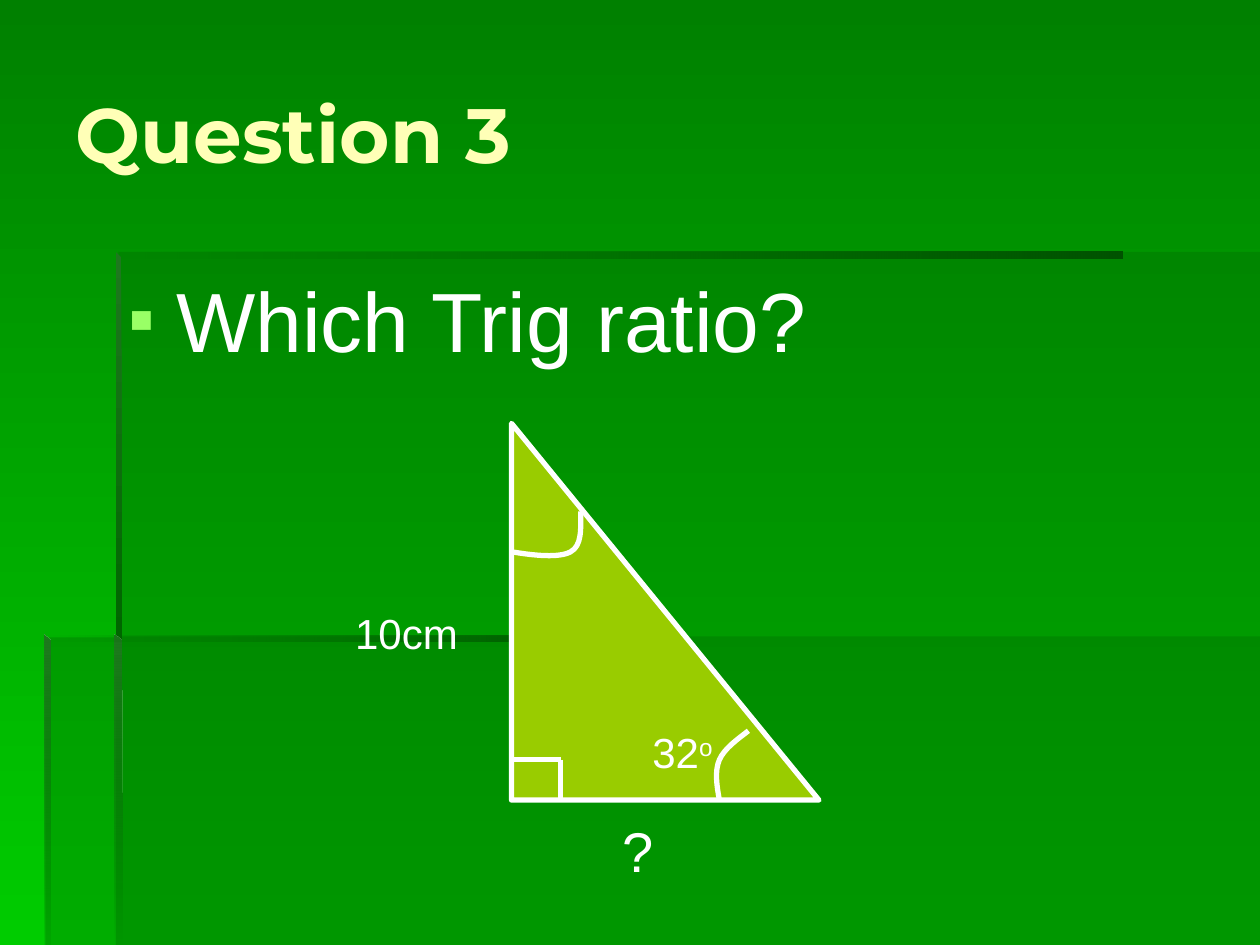
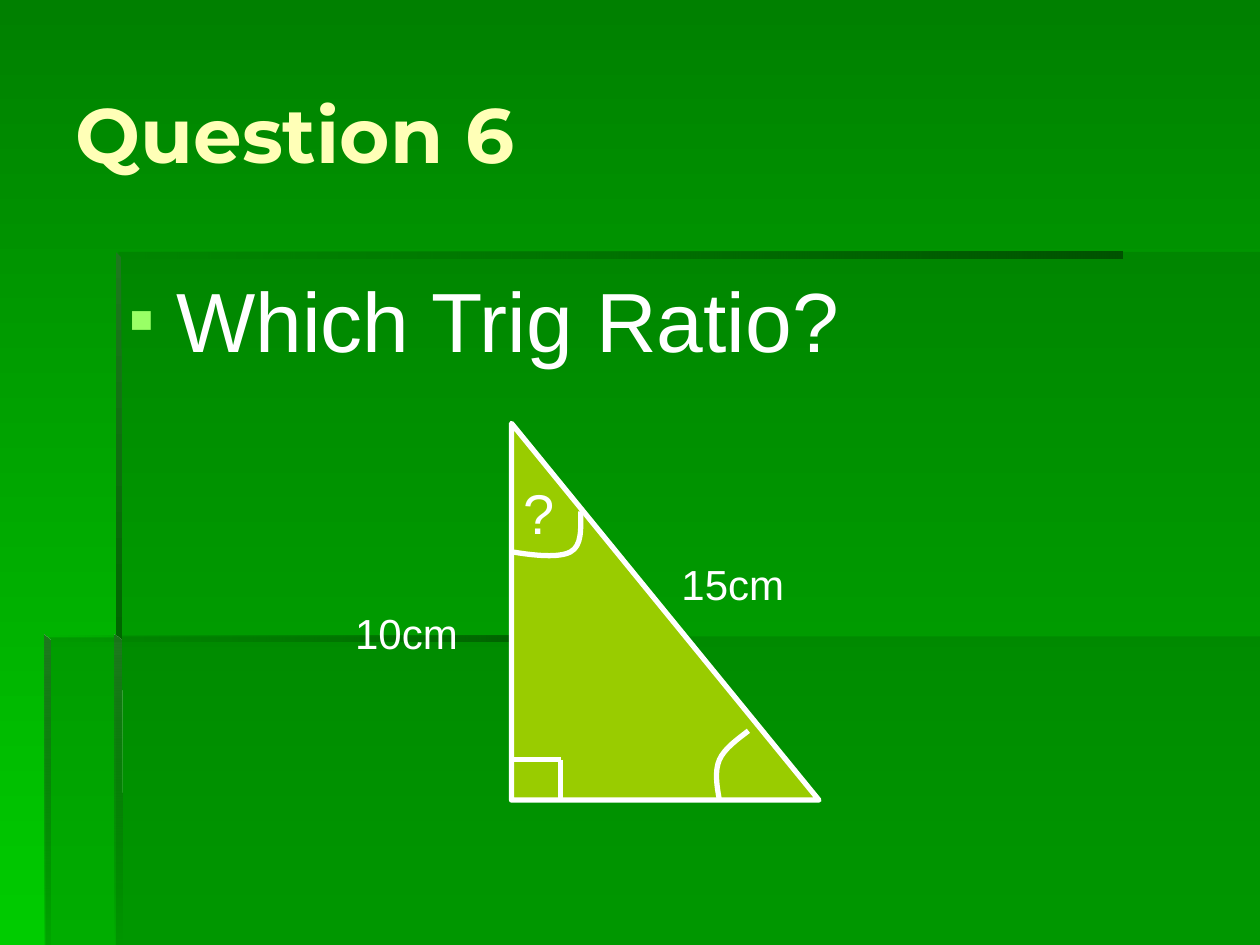
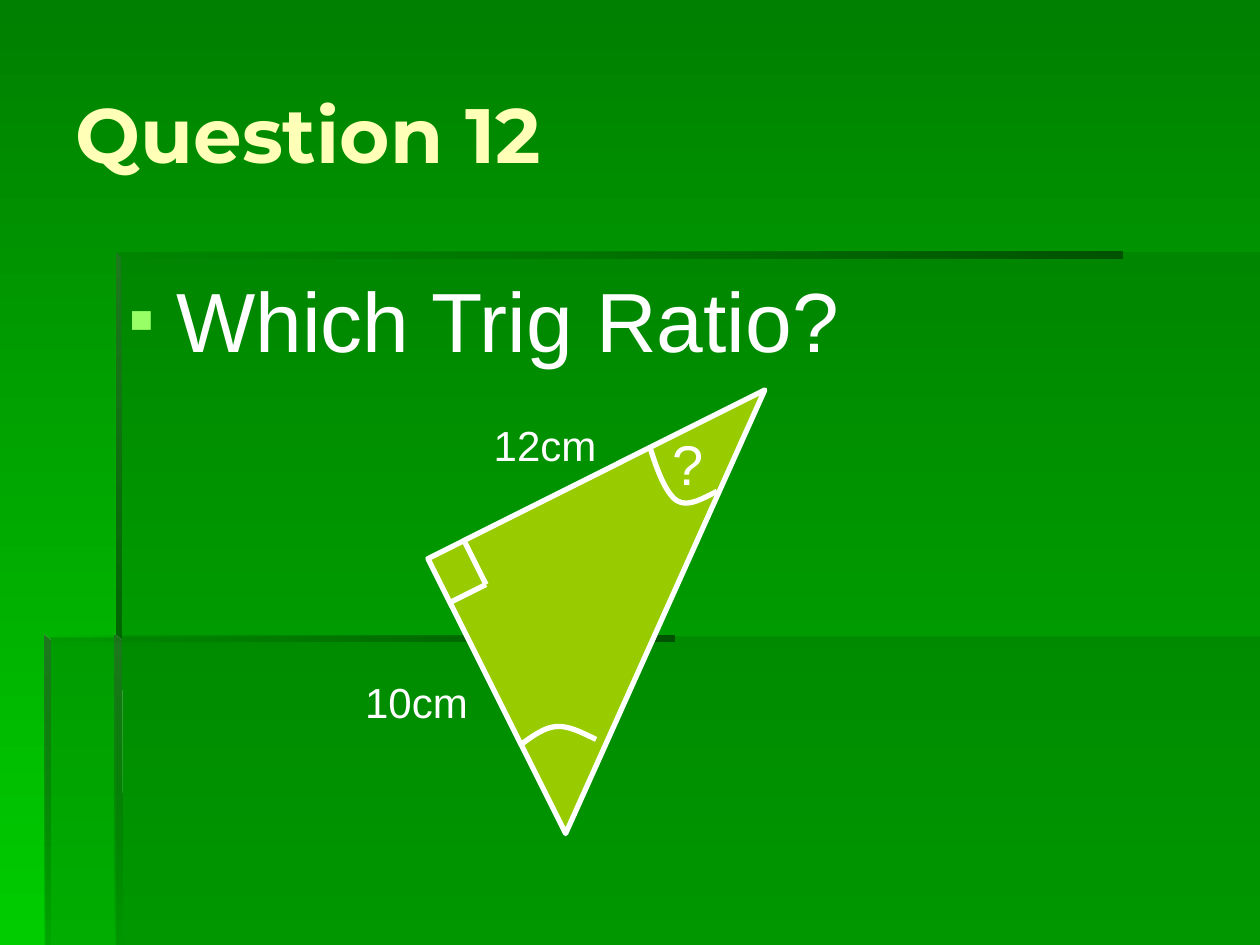
from lxml.etree import SubElement
from pptx import Presentation
from pptx.dml.color import RGBColor
from pptx.enum.shapes import MSO_CONNECTOR, MSO_SHAPE
from pptx.enum.text import MSO_ANCHOR, MSO_AUTO_SIZE, PP_ALIGN
from pptx.oxml.ns import qn
from pptx.util import Pt

PX = 9144  # 100 px to the inch
WIDE, HIGH = 1000, 750

DARK = RGBColor(0x00, 0x80, 0x00)
BRIGHT = RGBColor(0x00, 0xCC, 0x00)
SHADE = RGBColor(0x00, 0x66, 0x00)
DEEP = RGBColor(0x00, 0x53, 0x00)
EDGE = RGBColor(0x1E, 0x78, 0x1E)
CREAM = RGBColor(0xFF, 0xFF, 0xB7)
WHITE = RGBColor(0xFF, 0xFF, 0xFF)
LIME = RGBColor(0x99, 0xCC, 0x00)
MINT = "99FF66"

TITLE = {"name": "Montserrat", "size": Pt(44), "bold": True}
BODY = {"name": "Arial", "size": Pt(48), "bold": False}
SMALL = {"name": "Arial", "size": Pt(24)}
LARGE = {"name": "Arial", "size": Pt(32)}

PANELS = [
    [(92, 505), (92, 750), (1000, 750), (1000, 505)],
    [(94, 506), (36, 506), (36, 750), (1000, 750), (1000, 200), (94, 200)],
]
# outline, first colour, last opacity, clockwise angle
BARS = [
    ([(92, 200), (92, 205), (891, 205), (891, 200)], DEEP, 0, 180),
    ([(92, 200), (92, 510), (97, 510), (96, 204)], EDGE, 100, 90),
    ([(91, 750), (97, 750), (96, 508), (91, 504)], EDGE, 0, 90),
    ([(35, 504), (35, 509), (535, 509), (535, 504)], DEEP, 0, 180),
    ([(35, 504), (35, 750), (40, 750), (40, 509)], EDGE, 10, 90),
]

FIGURE = (406, 336, 244, 299)
ARCS = [
    [(0, 102), (18, 105), (38, 107), (47, 102), (56, 97), (55, 84), (55, 70)],
    [(188, 244), (179, 251), (169, 258), (165, 267), (161, 276), (163, 288), (165, 299)],
]
CORNER = [(0, 267), (39, 267), (39, 299)]

# title, prompt, turn, labels as (text, raised text, style, box)
SLIDES = [
    ("Question 3", "Which Trig ratio?", 0, [
        ("10cm", "", SMALL, (272, 477, 126, 50)),
        ("32", "o", SMALL, (508, 572, 87, 50)),
        ("?", "", LARGE, (484, 643, 63, 64))]),
    ("Question 6", "Which Trig Ratio?", 0, [
        ("10cm", "", SMALL, (272, 477, 126, 50)),
        ("15cm", "", SMALL, (531, 438, 118, 50)),
        ("?", "", LARGE, (406, 375, 63, 64))]),
    ("Question 12", "Which Trig Ratio?", 63.4, [
        ("10cm", "", SMALL, (280, 532, 126, 50)),
        ("12cm", "", SMALL, (382, 328, 102, 50)),
        ("?", "", LARGE, (524, 336, 63, 64))]),
]


def emu(box):
    return [value * PX for value in box]


def style(font, looks, color):
    for key, value in looks.items():
        setattr(font, key, value)
    font.color.rgb = color


def blend(fill, colors, angle):
    fill.gradient()
    fill.gradient_angle = (360 - angle) % 360
    for stop, color in zip(fill.gradient_stops, colors):
        stop.color.rgb = color


def fade(shape, percent):
    """Set the opacity of the last fill colour."""
    color = list(shape.element.iter(qn("a:srgbClr")))[-1]
    SubElement(color, qn("a:alpha")).set("val", str(percent * 1000))


def outline(shapes, points, close):
    pen = shapes.build_freeform(*points[0], scale=PX)
    pen.add_line_segments(points[1:], close=close)
    shape = pen.convert_to_shape()
    shape.shadow.inherit = False
    return shape


def stroke(line):
    line.color.rgb = WHITE
    line.width = Pt(3)


def backdrop(master, slide):
    """Draw the shared bands on a slide, then move them to the master."""
    blend(master.background.fill, (DARK, BRIGHT), 90)
    bands = []
    for points in PANELS:
        band = outline(slide.shapes, points, True)
        band.fill.solid()
        band.fill.fore_color.rgb = SHADE
        fade(band, 30)
        bands.append(band)
    for points, color, last, angle in BARS:
        band = outline(slide.shapes, points, True)
        blend(band.fill, (color, SHADE), angle)
        fade(band, last)
        bands.append(band)
    for index, band in enumerate(bands):
        band.line.fill.background()
        next(band.element.iter(qn("p:cNvPr"))).set("id", str(20 + index))
        master.shapes.element.insert(2 + index, band.element)


def place(holder, box, text, looks, color, anchor):
    holder.left, holder.top, holder.width, holder.height = emu(box)
    frame = holder.text_frame
    frame.text = text
    frame.auto_size = MSO_AUTO_SIZE.NONE
    frame.vertical_anchor = anchor
    para = frame.paragraphs[0]
    para.alignment = PP_ALIGN.LEFT
    para.space_before = Pt(0)
    style(para.runs[0].font, looks, color)
    return para


def bullet(holder):
    props = next(holder.element.iter(qn("a:pPr")))
    props.set("marL", str(38 * PX))
    props.set("indent", str(-38 * PX))
    color = SubElement(props, qn("a:buClr"))
    SubElement(color, qn("a:srgbClr")).set("val", MINT)
    SubElement(props, qn("a:buSzPct")).set("val", "90000")
    SubElement(props, qn("a:buFont")).set("typeface", "Arial")
    SubElement(props, qn("a:buChar")).set("char", "▪")


def arc(shapes, points):
    shape = outline(shapes, points, False)
    shape.fill.background()
    stroke(shape.line)
    track = next(shape.element.iter(qn("a:path")))
    steps = track.findall(qn("a:lnTo"))
    for start in range(0, len(steps), 3):
        curve = SubElement(track, qn("a:cubicBezTo"))
        for step in steps[start:start + 3]:
            curve.append(step[0])
            track.remove(step)


def figure(slide, box, turn):
    """Draw the right-angled triangle with its angle marks."""
    left, top = box[:2]
    group = slide.shapes.add_group_shape()
    shapes = group.shapes
    body = shapes.add_shape(MSO_SHAPE.RIGHT_TRIANGLE, *emu(box))
    body.shadow.inherit = False
    body.fill.solid()
    body.fill.fore_color.rgb = LIME
    stroke(body.line)
    for points in ARCS:
        arc(shapes, [(left + x, top + y) for x, y in points])
    marks = [(left + x, top + y) for x, y in CORNER]
    for start, end in zip(marks, marks[1:]):
        line = shapes.add_connector(MSO_CONNECTOR.STRAIGHT, *emu(start + end))
        stroke(line.line)
        SubElement(line.element.find(qn("p:spPr")), qn("a:effectLst"))
    group.rotation = turn


def label(slide, text, raised, looks, box):
    shape = slide.shapes.add_textbox(*emu(box))
    frame = shape.text_frame
    frame.word_wrap = True
    frame.auto_size = MSO_AUTO_SIZE.SHAPE_TO_FIT_TEXT
    for part in filter(None, (text, raised)):
        run = frame.paragraphs[0].add_run()
        run.text = part
        style(run.font, looks, WHITE)
    if raised:
        list(shape.element.iter(qn("a:rPr")))[-1].set("baseline", "30000")


def question(slide, title, prompt, turn, labels):
    head, body = slide.placeholders
    place(head, (50, 27, 917, 157), title, TITLE, CREAM, MSO_ANCHOR.MIDDLE)
    place(body, (92, 208, 876, 458), prompt, BODY, WHITE, MSO_ANCHOR.TOP)
    bullet(body)
    figure(slide, FIGURE, turn)
    for item in labels:
        label(slide, *item)


def main():
    deck = Presentation()
    deck.slide_width, deck.slide_height = emu((WIDE, HIGH))
    slides = [deck.slides.add_slide(deck.slide_layouts[1]) for _ in SLIDES]
    backdrop(deck.slide_master, slides[0])
    for slide, content in zip(slides, SLIDES):
        question(slide, *content)
    deck.save("out.pptx")


if __name__ == "__main__":
    main()
